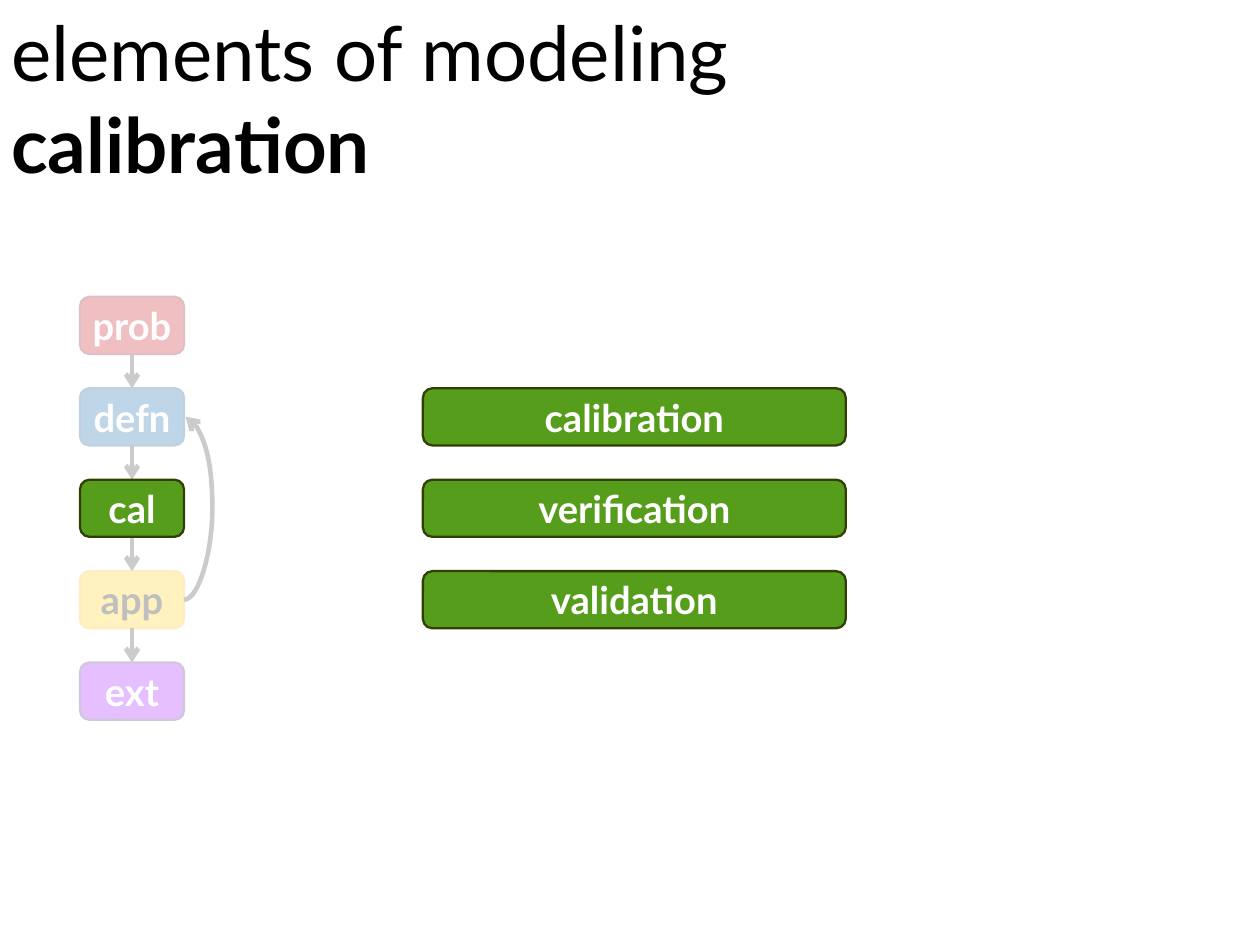
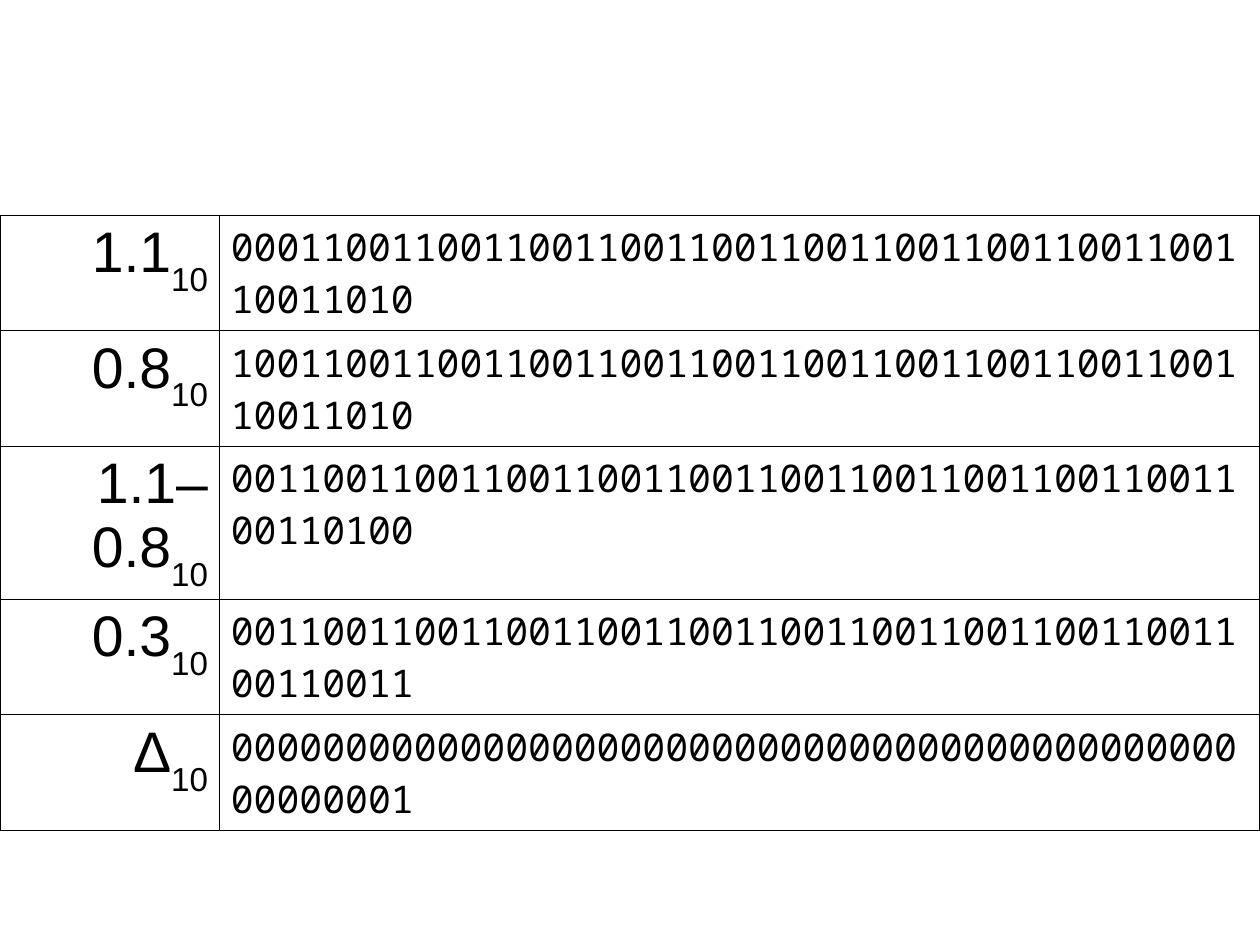
from lxml.etree import SubElement
from pptx import Presentation
from pptx.dml.color import RGBColor
from pptx.enum.shapes import MSO_CONNECTOR as LINK, MSO_SHAPE as SHAPE
from pptx.enum.text import MSO_ANCHOR as ANCHOR, PP_ALIGN as ALIGN
from pptx.oxml.ns import qn
from pptx.util import Pt

WIDTH, HEIGHT = 793.7008, 595.2756
BOX_H, PITCH, FIRST_TOP = 36, 57.6, 187
STEP_X, STEP_W = 50.4, 65.52
TASK_X, TASK_W = 266.4, 266.4
GREEN, DARK_GREEN = "579D1C", "314004"


def paint(target, color):
    if hasattr(target, "solid"):
        target.solid()
        target = target.fore_color
    target.rgb = RGBColor.from_string(color)


def set_font(paragraph, face, size, color="000000", bold=False):
    font = paragraph.font
    font.name, font.size, font.bold = face, Pt(size), bold
    paint(font.color, color)


deck = Presentation()
deck.slide_width, deck.slide_height = Pt(WIDTH), Pt(HEIGHT)
blank = deck.slide_layouts[6]

calibration = deck.slides.add_slide(blank)
shapes = calibration.shapes
heading = shapes.add_textbox(0, 0, Pt(537.84), Pt(133.92)).text_frame
heading.word_wrap = False
heading.text = "elements of modeling\ncalibration"
for line, bold in zip(heading.paragraphs, (False, True)):
    set_font(line, "Lato", 48, bold=bold)

steps = [
    ("prob", "C5000B", "7E0021", "FFFFFF"),
    ("defn", "005DA4", "004586", "FFFFFF"),
    ("cal", GREEN, DARK_GREEN, "FFFFFF"),
    ("app", "FFCC00", "FDB913", "000000"),
    ("ext", "9900FF", "4B1F6F", "FFFFFF"),
]
tasks = [(word, GREEN, DARK_GREEN, "FFFFFF")
         for word in ("calibration", "verification", "validation")]
boxes = {}
for column, x, width, first_row in ((steps, STEP_X, STEP_W, 0), (tasks, TASK_X, TASK_W, 1)):
    for row, (word, fill, edge, ink) in enumerate(column, first_row):
        box = shapes.add_shape(SHAPE.ROUNDED_RECTANGLE, Pt(x), Pt(FIRST_TOP + row * PITCH),
                               Pt(width), Pt(BOX_H))
        box.shadow.inherit = False
        paint(box.fill, fill)
        paint(box.line.fill, edge)
        box.line.width = Pt(1.45)
        label = box.text_frame
        label.word_wrap = False
        label.vertical_anchor = ANCHOR.MIDDLE
        label.text = word
        label.paragraphs[0].alignment = ALIGN.CENTER
        set_font(label.paragraphs[0], "Lato", 24, ink, True)
        boxes[word] = box

arrows = []
names = [step[0] for step in steps]
for upper, lower in zip(names, names[1:]):
    arrow = shapes.add_connector(LINK.STRAIGHT, 0, 0, 0, 0)
    arrow.begin_connect(boxes[upper], 2)
    arrow.end_connect(boxes[lower], 0)
    arrows.append(arrow)

side = STEP_X + STEP_W
app_y, defn_y = (FIRST_TOP + row * PITCH + BOX_H / 2 for row in (3, 1))
feedback = shapes.add_connector(LINK.CURVE, Pt(side), Pt(app_y), Pt(side + 1), Pt(defn_y))
bulge = feedback.element.spPr.find(qn("a:prstGeom")).find(qn("a:avLst"))
SubElement(bulge, qn("a:gd"), name="adj1", fmla="val 1800000")
arrows.append(feedback)

for arrow in arrows:
    paint(arrow.line.fill, "333333")
    arrow.line.width = Pt(2.89)
    SubElement(arrow.element.spPr.find(qn("a:ln")), qn("a:tailEnd"), type="arrow")
    SubElement(arrow.element.spPr, qn("a:effectLst"))

veil = shapes.add_shape(SHAPE.RECTANGLE, Pt(43.2), Pt(180), Pt(129.6), Pt(280.8))
veil.shadow.inherit = False
veil.line.fill.background()
paint(veil.fill, "FFFFFF")
veil_color = veil.element.spPr.find(qn("a:solidFill")).find(qn("a:srgbClr"))
SubElement(veil_color, qn("a:alpha"), val="75000")
shapes.element.append(boxes["cal"].element)

precision = deck.slides.add_slide(blank)
mantissas = [
    ("1.1", "0001100110011001100110011001100110011001100110011010"),
    ("0.8", "1001100110011001100110011001100110011001100110011010"),
    ("1.1–0.8", "0011001100110011001100110011001100110011001100110100"),
    ("0.3", "0011001100110011001100110011001100110011001100110011"),
    ("Δ", "0000000000000000000000000000000000000000000000000001"),
]
grid = precision.shapes.add_table(len(mantissas), 2, 0, Pt(135.5), Pt(WIDTH), Pt(324)).table
grid.first_row = grid.horz_banding = False
grid.columns[0].width, grid.columns[1].width = Pt(138.24), Pt(WIDTH - 138.24)

for row, (number, bits) in enumerate(mantissas):
    decimal, binary = grid.cell(row, 0), grid.cell(row, 1)
    value = decimal.text_frame.paragraphs[0]
    value.alignment = ALIGN.RIGHT
    set_font(value, "Arial", 36)
    value.add_run().text = number
    base = value.add_run()
    base.text = "10"
    base.font._element.set("baseline", "-33000")
    binary.text = bits
    set_font(binary.text_frame.paragraphs[0], "Noto Sans Mono", 24)
    for cell in (decimal, binary):
        properties = cell._tc.get_or_add_tcPr()
        for edge in ("a:lnL", "a:lnR", "a:lnT", "a:lnB"):
            border = SubElement(properties, qn(edge), w=str(Pt(0.75)))
            SubElement(SubElement(border, qn("a:solidFill")), qn("a:srgbClr"), val="000000")
        cell.fill.background()

deck.save("out.pptx")
